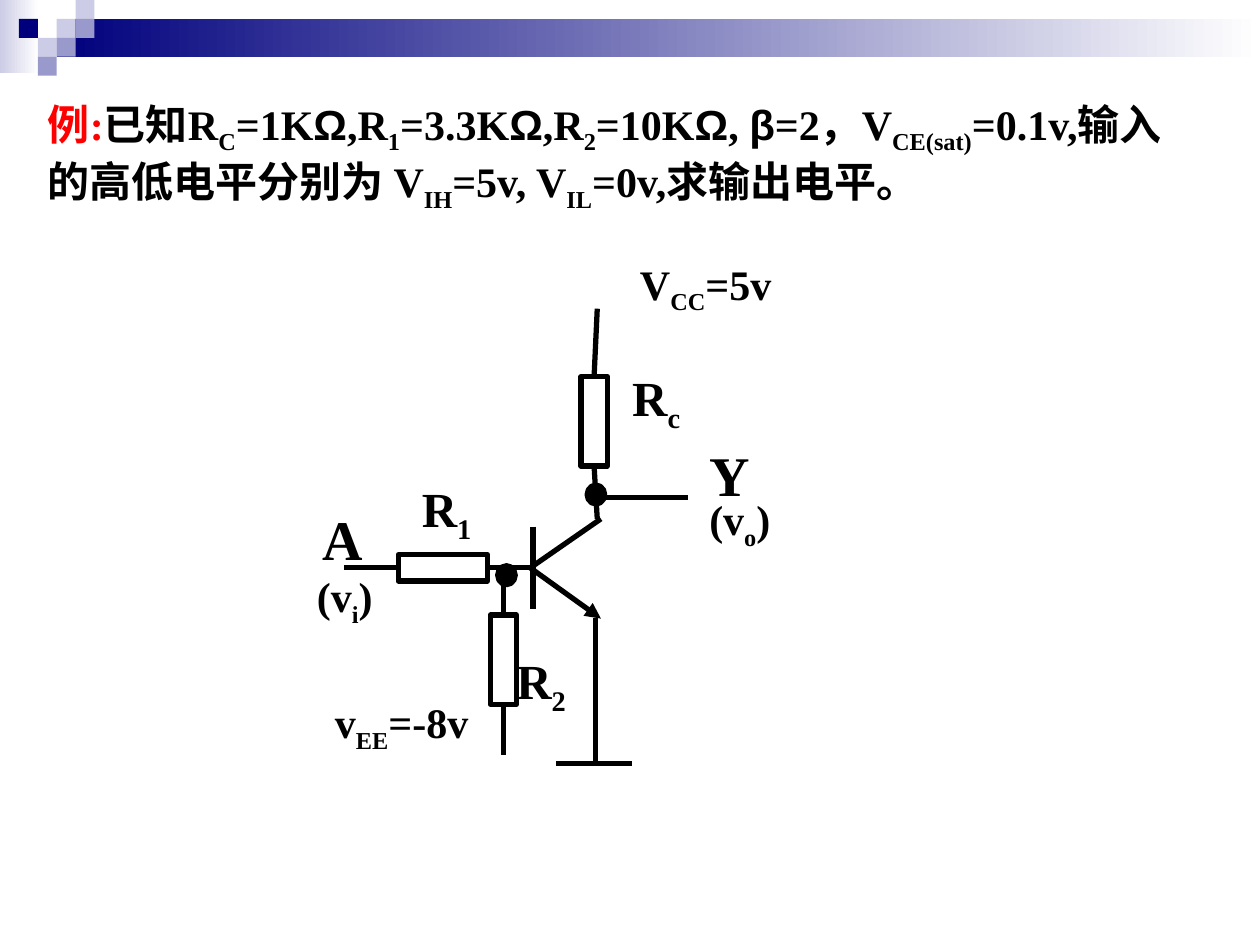
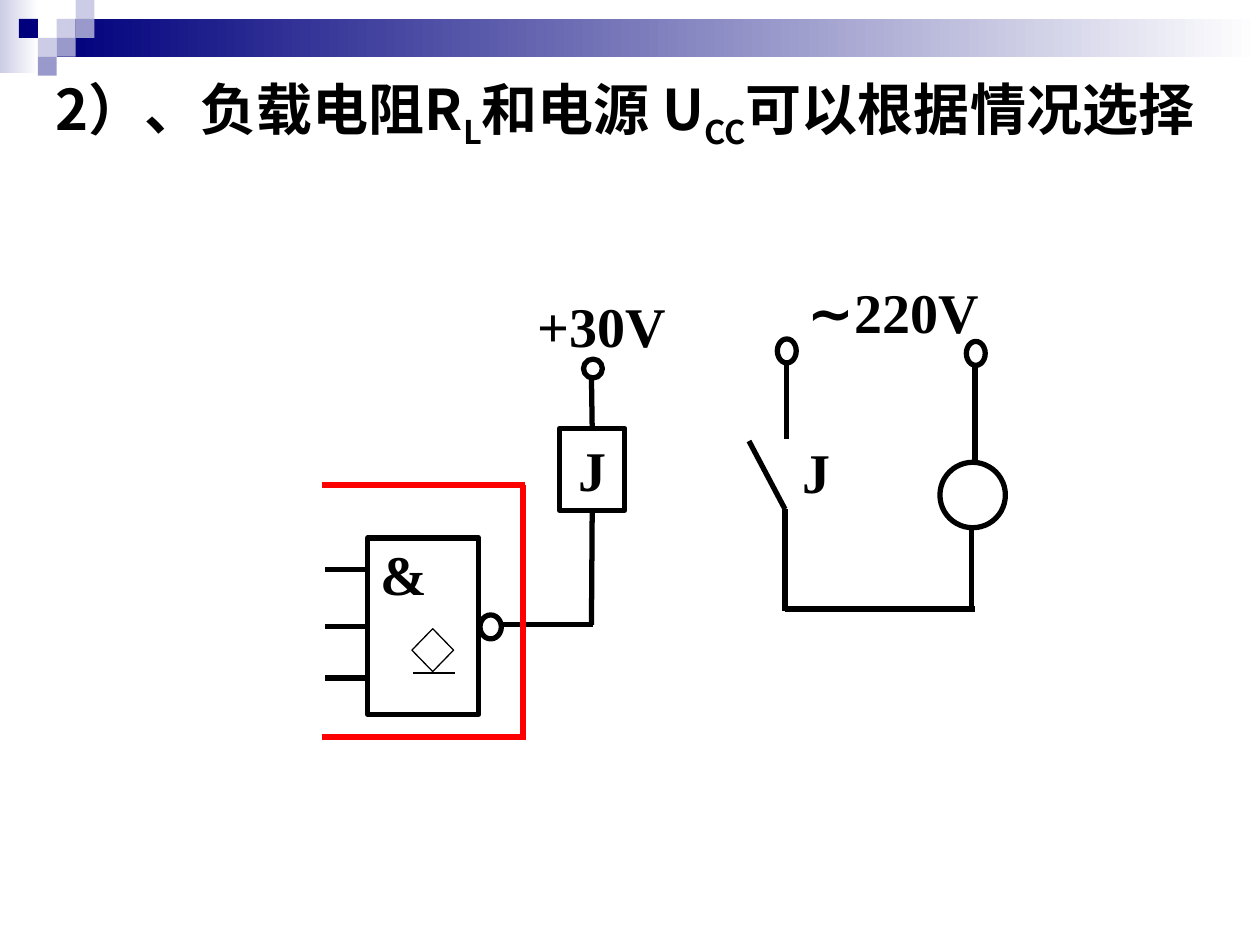
import dataclasses
import itertools

import pptx
import pptx.dml.color
import pptx.enum.shapes
import pptx.enum.text
import pptx.oxml.ns
import pptx.util
from lxml import etree

Pt = pptx.util.Pt
Preset = pptx.enum.shapes.MSO_SHAPE
Align = pptx.enum.text.PP_ALIGN
Anchor = pptx.enum.text.MSO_ANCHOR
qn = pptx.oxml.ns.qn


@dataclasses.dataclass(frozen=True)
class Theme:
    ink: str = "000000"
    accent: str = "FF0000"
    paper: str = "FFFFFF"
    navy: str = "00007D"
    violet: str = "9999CC"
    lavender: str = "CCCCE6"
    latin: str = "Times New Roman"
    chinese: str = "Noto Sans CJK SC"
    symbol: str = "Arial"
    symbols: str = "Ωβ∼"
    small: float = 24
    medium: float = 28
    large: float = 32
    wire: float = 3
    hairline: float = 0.75


@dataclasses.dataclass(frozen=True)
class Side:
    """The middle of one side of a shape: 0 top, 1 left, 2 bottom, 3 right."""
    shape: object
    site: int


THEME = Theme()


def rgb(color):
    return pptx.dml.color.RGBColor.from_string(color)


def add_run(paragraph, text, size, font, color, subscript):
    run = paragraph.add_run()
    run.text = text
    run.font.size = Pt(size)
    run.font.bold = True
    run.font.color.rgb = rgb(color)
    is_symbol = text[0] in THEME.symbols
    run.font.name = THEME.symbol if is_symbol else font
    properties = run._r.get_or_add_rPr()
    east_asian = etree.SubElement(properties, qn("a:ea"))
    east_asian.set("typeface", THEME.symbol if is_symbol else THEME.chinese)
    if subscript:
        properties.set("baseline", "-25000")


def write_text(frame, text, size=THEME.small, font=THEME.latin, lead="",
               align=Align.LEFT, anchor=Anchor.TOP, wrap=True, hanging=0):
    """Write one paragraph; braces mark subscripts, lead is an accented opening."""
    frame.word_wrap = wrap
    frame.auto_size = pptx.enum.text.MSO_AUTO_SIZE.NONE
    frame.vertical_anchor = anchor
    frame.margin_left = frame.margin_right = Pt(7.2)
    frame.margin_top = frame.margin_bottom = Pt(3.6)
    paragraph = frame.paragraphs[0]
    paragraph.alignment = align
    paragraph.line_spacing = 1.0
    paragraph.space_before = Pt(0)
    if hanging:
        properties = paragraph._p.get_or_add_pPr()
        properties.set("marL", str(Pt(hanging)))
        properties.set("indent", str(-Pt(hanging)))
    if lead:
        add_run(paragraph, lead, size, font, THEME.accent, False)
    for index, part in enumerate(text.replace("}", "{").split("{")):
        for _, letters in itertools.groupby(part, key=lambda c: c in THEME.symbols):
            add_run(paragraph, "".join(letters), size, font, THEME.ink, index % 2 == 1)


class Region:
    """Draws on a slide with positions relative to the corner of a box."""

    def __init__(self, slide, left, top):
        self.slide, self.left, self.top = slide, left, top

    def place(self, x, y):
        return Pt(self.left + x), Pt(self.top + y)

    def shape(self, preset, x, y, width, height, fill=None, line=THEME.ink,
              weight=THEME.wire):
        shape = self.slide.shapes.add_shape(
            preset, *self.place(x, y), Pt(width), Pt(height))
        shape.shadow.inherit = False
        if fill:
            shape.fill.solid()
            shape.fill.fore_color.rgb = rgb(fill)
        else:
            shape.fill.background()
        if line:
            shape.line.color.rgb = rgb(line)
            shape.line.width = Pt(weight)
        else:
            shape.line.fill.background()
        return shape

    def box(self, *bounds, **style):
        return self.shape(Preset.RECTANGLE, *bounds, **style)

    def circle(self, *bounds, **style):
        return self.shape(Preset.OVAL, *bounds, **style)

    def wire(self, start, end, color=THEME.ink, weight=THEME.wire, arrow=False):
        """Join two ends, each a point or a Side."""
        points = [(0, 0) if isinstance(stop, Side) else self.place(*stop)
                  for stop in (start, end)]
        connector = self.slide.shapes.add_connector(
            pptx.enum.shapes.MSO_CONNECTOR.STRAIGHT, *points[0], *points[1])
        if isinstance(start, Side):
            connector.begin_connect(start.shape, start.site)
        if isinstance(end, Side):
            connector.end_connect(end.shape, end.site)
        connector.line.color.rgb = rgb(color)
        connector.line.width = Pt(weight)
        properties = connector.element.spPr
        if arrow:
            outline = properties.find(qn("a:ln"))
            etree.SubElement(outline, qn("a:tailEnd")).set("type", "triangle")
        etree.SubElement(properties, qn("a:effectLst"))

    def label(self, text, x, y, width, height, **style):
        text_box = self.slide.shapes.add_textbox(
            *self.place(x, y), Pt(width), Pt(height))
        write_text(text_box.text_frame, text, **style)


def draw_header_band(slide, layout):
    """Draw the band and its squares, then hand them to the shared layout."""
    header = Region(slide, 0, 0)
    unit = 10.8
    shapes = []
    for bounds, color in (((0, 0, 22, 42), THEME.lavender),
                          ((3 * unit, unit, 720 - 3 * unit, 2 * unit), THEME.navy)):
        strip = header.box(*bounds, line=None)
        strip.fill.gradient()
        strip.fill.gradient_angle = 0
        for stop, stop_color in zip(strip.fill.gradient_stops, (color, THEME.paper)):
            stop.color.rgb = rgb(stop_color)
        shapes.append(strip)
    squares = {
        THEME.lavender: ((3, 1), (4, 0), (2, 2)),
        THEME.violet: ((4, 1), (3, 2), (2, 3)),
        THEME.navy: ((1, 1),),
    }
    for color, cells in squares.items():
        for column, row in cells:
            shapes.append(header.box(column * unit, row * unit, unit, unit,
                                     fill=color, line=None))
    for index, shape in enumerate(shapes):
        shape.element.nvSpPr.cNvPr.set("id", str(100 + index))
        layout.shapes.element.insert(2 + index, shape.element)


def set_title(slide, text, left, top, width, height, **style):
    title = slide.shapes.title
    title.left, title.top, title.width, title.height = map(
        Pt, (left, top, width, height))
    write_text(title.text_frame, text, **style)


def draw_transistor_circuit(slide, left, top):
    region = Region(slide, left, top)
    base, collector, emitter = (129, 180.5), (169.4, 152.5), (169.4, 209.5)
    long, short = 51, 15

    collector_resistor = region.box(158, 71.3, short, long)
    input_resistor = region.box(53.5, 173, long, short)
    bias_resistor = region.box(106.2, 207.4, short, long)

    region.wire(Side(collector_resistor, 0), (167.3, 32.4))
    region.wire(Side(collector_resistor, 2), (167.3, 152.5))
    region.wire((168, 140.4), (219, 140.4))
    region.wire((130.6, 157), (130.6, 203.8))
    region.wire(base, emitter, arrow=True)
    region.wire(base, collector)
    region.wire(base, Side(input_resistor, 3))
    region.wire(Side(input_resistor, 1), (22.6, 180.5))
    region.wire((113.7, 179.3), Side(bias_resistor, 0))
    region.wire(Side(bias_resistor, 2), (113.7, 287.3))
    region.wire((166.4, 209), (166.4, 293))
    region.wire((144, 292.3), (187.4, 292.3))
    for x, y in ((161.5, 133.2), (110.4, 179.3)):
        region.circle(x, y, 10, 10.8, fill=THEME.ink)

    for text, x, y in (("R{c}", 180.2, 62.6), ("R{1}", 60, 126), ("R{2}", 114, 224)):
        region.label(text, x, y, 47, 45, size=THEME.medium)
    for text, x, y in (("Y", 224.2, 104.4), ("A", 3, 141)):
        region.label(text, x, y, 48, 46, size=THEME.large)
    for text, x, y in (("V{CC}=5v", 184.6, 0), ("(v{o})", 224.2, 134.6),
                       ("v{EE}=-8v", 10.3, 250.6), ("(v{i})", 0, 178.6)):
        region.label(text, x, y, 104, 40)


def draw_gate_and_relay(slide, left, top):
    region = Region(slide, left, top)
    gate = region.box(26.2, 144.4, 63.4, 100.8)
    region.circle(90.3, 188.4, 12.2, 13.7)
    region.label("&", 26.2, 141.6, 45, 46, size=THEME.large)
    for y in (162.4, 224.4):
        region.wire((1.8, y), (26.2, y))
    region.wire((1.8, 194.8), Side(gate, 1))

    relay = region.box(135.7, 81.8, 37.4, 46.8)
    write_text(relay.text_frame, "J", size=THEME.large, align=Align.CENTER,
               anchor=Anchor.MIDDLE, wrap=False)
    region.wire((101, 194), (155, 194))
    region.wire((154, 194), Side(relay, 2))
    region.wire(Side(relay, 0), (154, 53))
    region.circle(149.4, 42.2, 10.8, 10.8)
    region.label("+30V", 116.2, 0, 118, 46, size=THEME.large)

    for y in (114.2, 258.2):
        region.wire((0, y), (116, y), color=THEME.accent)
    region.wire((114.8, 114.2), (114.8, 260), color=THEME.accent)

    region.shape(Preset.DIAMOND, 51.4, 196.3, 23.8, 24.5, fill=THEME.paper,
                 weight=THEME.hairline)
    region.wire((52.2, 221.5), (75.9, 221.5), weight=THEME.hairline)


def draw_load_circuit(slide, left, top):
    region = Region(slide, left, top)
    pivot = (20.6, 136)
    region.wire(pivot, (20.6, 194))
    region.wire(pivot, (0, 97))
    region.wire((20.6, 193), (129, 193))
    region.wire((21.3, 95.6), (21.3, 51.6))
    region.wire((127.2, 194), (127.2, 146.7))
    region.wire((129.2, 109.2), (129.2, 53.8))
    for x, y in ((16.2, 38.7), (124.2, 40.1)):
        region.circle(x, y, 10.8, 13.7)
    region.circle(109.1, 109.2, 37.4, 37.4)
    region.label("∼220V", 26.3, 0, 131, 46, size=THEME.large)
    region.label("J", 23.4, 91.2, 48, 46, size=THEME.large)


def build_example_slide(slide):
    set_title(slide,
              "已知R{C}=1KΩ,R{1}=3.3KΩ,R{2}=10KΩ, β=2，V{CE(sat)}=0.1v,"
              "输入的高低电平分别为 V{IH}=5v, V{IL}=0v,求输出电平。",
              20.2, 52.6, 669.6, 72.7, lead="例:")
    draw_transistor_circuit(slide, 174, 144)


def build_load_slide(slide):
    set_title(slide, "2）、负载电阻R{L}和电源 U{CC}可以根据情况选择",
              24.5, 38.9, 720, 51, size=THEME.large, font=THEME.chinese,
              hanging=52.6)
    draw_gate_and_relay(slide, 184, 163)
    draw_load_circuit(slide, 428, 155)


def main():
    presentation = pptx.Presentation()
    presentation.slide_width, presentation.slide_height = Pt(720), Pt(540)
    title_only = presentation.slide_layouts[5]
    example, load = (presentation.slides.add_slide(title_only) for _ in range(2))
    draw_header_band(example, title_only)
    build_example_slide(example)
    build_load_slide(load)
    presentation.save("out.pptx")


if __name__ == "__main__":
    main()
